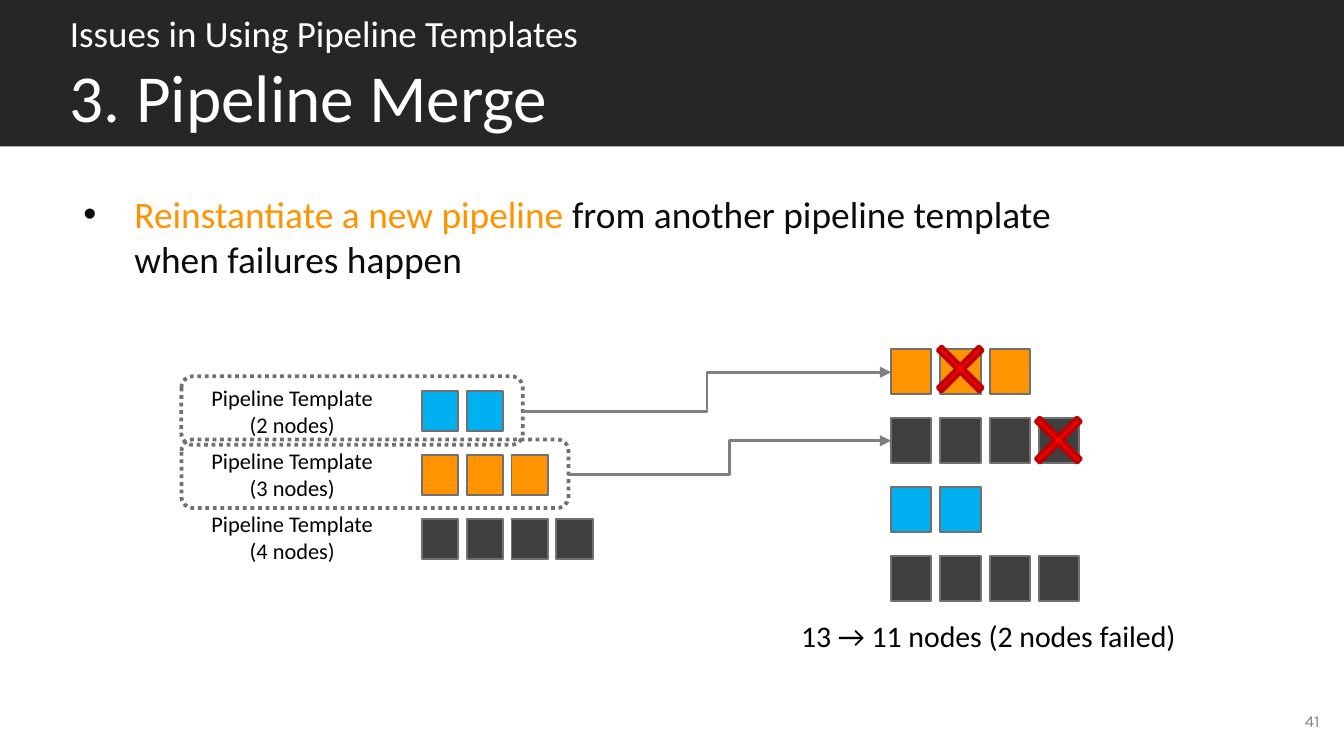
import dataclasses

import lxml.etree
import pptx
import pptx.dml.color
import pptx.enum.dml
import pptx.enum.shapes
import pptx.enum.text
import pptx.oxml.ns
import pptx.util

Inches = pptx.util.Inches
Pt = pptx.util.Pt
Kind = pptx.enum.shapes.MSO_SHAPE
Align = pptx.enum.text.PP_ALIGN
Anchor = pptx.enum.text.MSO_ANCHOR
qn = pptx.oxml.ns.qn

ORANGE, BLUE, DARK = "FF9300", "00B0F0", "3F3F3F"
EDGE, WHITE, BLACK, INK = "707070", "FFFFFF", "000000", "0C0C0C"


@dataclasses.dataclass
class Row:
    left: float
    top: float
    count: int
    fill: str


@dataclasses.dataclass
class Grid:
    wide: float
    high: float
    step: float


@dataclasses.dataclass
class Link:
    left: float
    top: float
    right: float
    end: float


SMALL = Grid(0.27, 0.3, 1 / 3)
LARGE = Grid(0.3, 0.33, 1.1 / 3)
PLANS = [Row(3.14, 2.91 + 0.95 * i / 2, i + 2, fill)
         for i, fill in enumerate([BLUE, ORANGE, DARK])]
PIPES = [Row(6.63, 2.6 + 1.54 * i / 3, count, fill)
         for i, (count, fill) in enumerate(
             [(3, ORANGE), (4, DARK), (2, BLUE), (4, DARK)])]
FAILS = [(6.85, 2.45), (7.58, 2.98)]
FRAMES = [(2.8, 2.54), (3.27, 2.88)]
LINKS = [Link(3.89, 3.06, 6.63, 2.77), Link(4.23, 3.53, 6.63, 3.28)]


def paint(form, code: str) -> None:
    form.rgb = pptx.dml.color.RGBColor.from_string(code)


def style(run, size: float, code: str, face: str = "Calibri") -> None:
    run.font.size = Pt(size)
    run.font.name = face
    paint(run.font.color, code)


def place(shape, left: float, top: float, wide: float, high: float) -> None:
    shape.left, shape.top = Inches(left), Inches(top)
    shape.width, shape.height = Inches(wide), Inches(high)


def inset(frame, left: float, top: float, right: float, base: float) -> None:
    frame.margin_left, frame.margin_top = Inches(left), Inches(top)
    frame.margin_right, frame.margin_bottom = Inches(right), Inches(base)


def shape(slide, kind, left: float, top: float, wide: float, high: float,
          fill: str, edge: str, width: float):
    item = slide.shapes.add_shape(
        kind, Inches(left), Inches(top), Inches(wide), Inches(high))
    item.shadow.inherit = False
    if fill:
        item.fill.solid()
        paint(item.fill.fore_color, fill)
    else:
        item.fill.background()
    paint(item.line.color, edge)
    item.line.width = Pt(width)
    return item


def text(slide, words: str, left: float, top: float, wide: float, high: float,
         size: float, code: str = BLACK, face: str = "Calibri",
         align=Align.CENTER):
    box = slide.shapes.add_textbox(
        Inches(left), Inches(top), Inches(wide), Inches(high))
    frame = box.text_frame
    frame.text = words
    frame.word_wrap = False
    for para in frame.paragraphs:
        para.alignment = align
        for run in para.runs:
            style(run, size, code, face)
    return frame


def cells(slide, row: Row, grid: Grid) -> None:
    for i in range(row.count):
        shape(slide, Kind.RECTANGLE, row.left + i * grid.step, row.top,
              grid.wide, grid.high, row.fill, EDGE, 1)


def join(slide, link: Link) -> None:
    line = slide.shapes.add_connector(
        pptx.enum.shapes.MSO_CONNECTOR.ELBOW, Inches(link.left),
        Inches(link.top), Inches(link.right), Inches(link.end))
    paint(line.line.color, "7F7F7F")
    line.line.width = Pt(1.5)
    edge = line._element.spPr.find(qn("a:ln"))
    lxml.etree.SubElement(edge, qn("a:tailEnd"), type="triangle")
    lxml.etree.SubElement(line._element.spPr, qn("a:effectLst"))


def head(slide) -> None:
    title = slide.shapes.title
    place(title, 0, 0, 10, 1.09)
    title.fill.solid()
    paint(title.fill.fore_color, "262626")
    frame = title.text_frame
    frame.text = "Issues in Using Pipeline Templates\v3. Pipeline Merge"
    frame.auto_size = pptx.enum.text.MSO_AUTO_SIZE.NONE
    frame.vertical_anchor = Anchor.MIDDLE
    inset(frame, 0.52, 0.04, 0.07, 0.04)
    para = frame.paragraphs[0]
    para.alignment = Align.LEFT
    for run, size in zip(para.runs, [19.8, 36]):
        style(run, size, WHITE)


def body(slide) -> None:
    frame = text(slide, "Reinstantiate a new pipeline", 0.47, 1.35, 8.89, 3.79,
                 20, ORANGE, align=Align.LEFT)
    frame.word_wrap = True
    inset(frame, 0.07, 0.07, 0.07, 0.07)
    para = frame.paragraphs[0]
    para.space_after = Pt(10)
    prop = para._p.get_or_add_pPr()
    prop.set("marL", str(Inches(0.46)))
    prop.set("indent", str(Inches(-0.38)))
    tint = lxml.etree.SubElement(prop, qn("a:buClr"))
    lxml.etree.SubElement(tint, qn("a:srgbClr"), val=INK)
    lxml.etree.SubElement(prop, qn("a:buFont"), typeface="Arial")
    lxml.etree.SubElement(prop, qn("a:buChar"), char="•")
    rest = para.add_run()
    rest.text = " from another pipeline template"
    para.add_line_break()
    last = para.add_run()
    last.text = "when failures happen"
    for run in (rest, last):
        style(run, 20, INK)


def main() -> None:
    deck = pptx.Presentation()
    deck.slide_width = Inches(10)
    deck.slide_height = Inches(10 * 9 / 16)
    slide = deck.slides.add_slide(deck.slide_layouts[5])
    head(slide)
    body(slide)
    for row in PIPES:
        cells(slide, row, LARGE)
    for i, row in enumerate(PLANS):
        cells(slide, row, SMALL)
        text(slide, f"Pipeline Template\n({row.count} nodes)",
             1.46, 2.81 + 0.47 * i, 1.43, 0.5, 12)
    text(slide, "13 → 11 nodes (2 nodes failed)", 5.84, 4.55, 3.03, 0.37, 16)
    for left, top in FAILS:
        cross = shape(slide, Kind.MATH_MULTIPLY, left, top, 0.59, 0.59,
                      "FF0000", "C00000", 2)
        cross.adjustments[0] = 0.07
    for top, wide in FRAMES:
        frame = shape(slide, Kind.ROUNDED_RECTANGLE, 1.35, top, wide, 0.51,
                      "", EDGE, 2)
        frame.line.dash_style = pptx.enum.dml.MSO_LINE.ROUND_DOT
    for link in LINKS:
        join(slide, link)
    page = text(slide, "41", 7.56, 5.21, 2.33, 0.3, 9, "888888", "Karla",
                Align.RIGHT)
    page.word_wrap = True
    page.vertical_anchor = Anchor.MIDDLE
    inset(page, 0.07, 0.04, 0.07, 0.04)
    deck.save("out.pptx")


if __name__ == "__main__":
    main()
